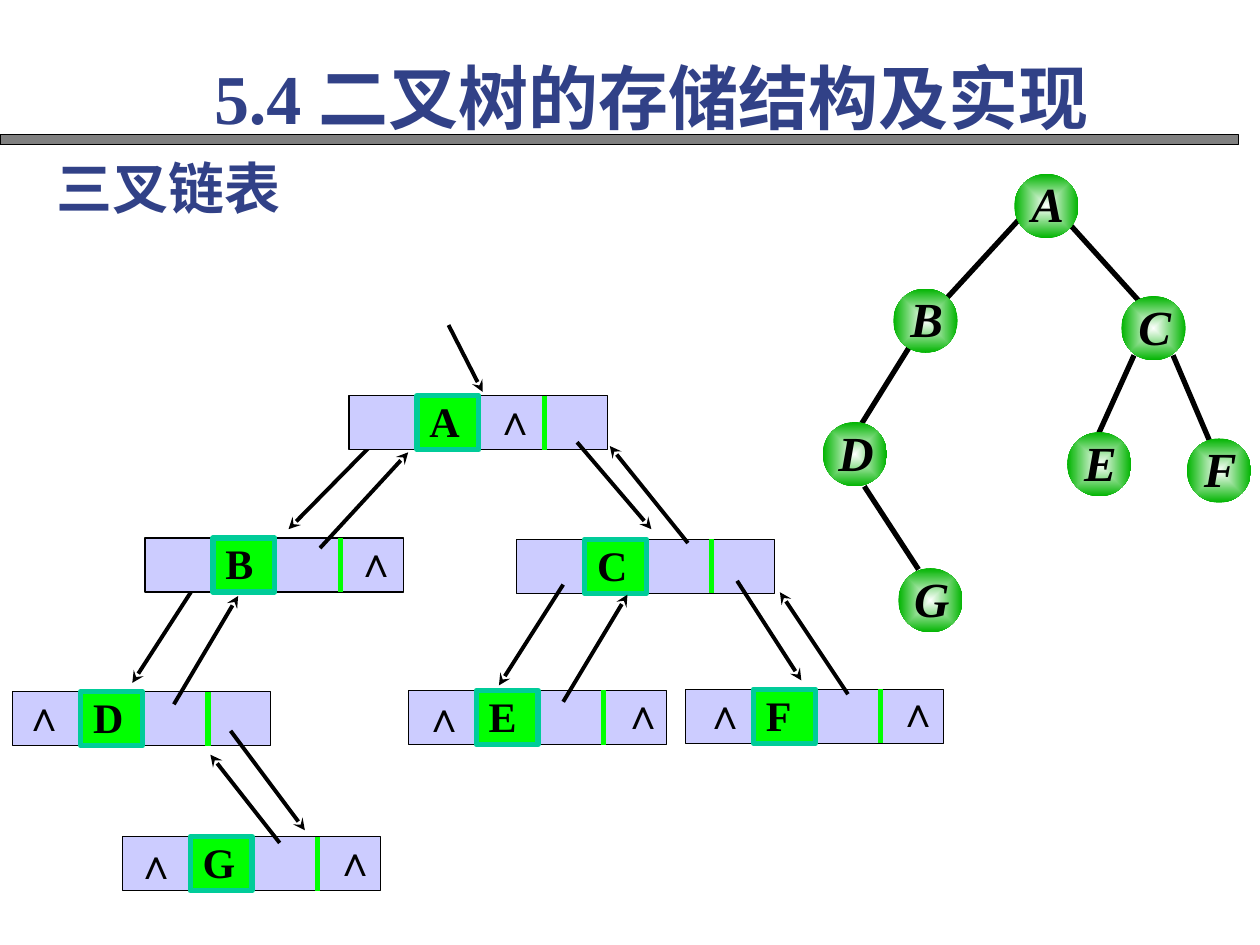
from lxml import etree
from pptx import Presentation
from pptx.dml.color import RGBColor
from pptx.enum.shapes import MSO_CONNECTOR, MSO_SHAPE
from pptx.enum.text import MSO_ANCHOR, MSO_AUTO_SIZE, PP_ALIGN
from pptx.oxml import parse_xml
from pptx.oxml.ns import nsdecls, qn
from pptx.util import Inches, Pt

STRAIGHT = MSO_CONNECTOR.STRAIGHT
RECTANGLE, OVAL = MSO_SHAPE.RECTANGLE, MSO_SHAPE.OVAL
TOP, FIT = MSO_ANCHOR.TOP, MSO_AUTO_SIZE.SHAPE_TO_FIT_TEXT
LEFT, CENTER, JUSTIFY = PP_ALIGN.LEFT, PP_ALIGN.CENTER, PP_ALIGN.JUSTIFY

FONT = "Times New Roman"
BLACK = RGBColor(0, 0, 0)
GRAY = RGBColor(0x80, 0x80, 0x80)
NAVY = RGBColor(0x31, 0x41, 0x87)
LAVENDER = RGBColor(0xCC, 0xCC, 0xFF)
LIME = RGBColor(0x01, 0xFF, 0x01)
TEAL = RGBColor(0x00, 0xCC, 0x99)

NODE_SIZE = 0.51
RECORD_WIDTH, RECORD_HEIGHT = 2.05, 0.43
DATA_LEFT, DATA_WIDTH, DIVIDER = 0.54, 0.49, 1.55

NODES = {"A": (8.05, 1.38), "B": (7.09, 2.29), "C": (8.9, 2.35), "D": (6.53, 3.35),
         "E": (8.47, 3.43), "F": (9.42, 3.48), "G": (7.13, 4.51)}
EDGES = [(8.08, 1.75, 7.52, 2.36), (8.49, 1.78, 9.05, 2.4), (7.22, 2.75, 6.84, 3.36),
         (6.86, 3.86, 7.29, 4.52), (9, 2.82, 8.72, 3.44), (9.31, 2.82, 9.6, 3.5)]

# Record position, then the offset of each null pointer inside the record
RECORDS = {"A": (2.77, 3.14, [(1.07, -0.03)]),
           "B": (1.15, 4.27, [(1.59, -0.03)]),
           "C": (4.1, 4.28, []),
           "D": (0.1, 5.49, [(0, -0.03)]),
           "E": (3.24, 5.48, [(0.04, -0.01), (1.62, -0.03)]),
           "F": (5.44, 5.47, [(0.07, -0.02), (1.6, -0.04)]),
           "G": (0.97, 6.64, [(0.02, 0), (1.6, -0.03)])}
POINTERS_BEHIND = [(1.56, 4.63, 1.05, 5.42), (2.97, 3.51, 2.29, 4.2)]
POINTERS_IN_FRONT = [(3.56, 2.58, 3.83, 3.11), (4.58, 3.51, 5.17, 4.2),
                     (4.47, 4.64, 3.96, 5.44), (5.85, 4.61, 6.36, 5.4),
                     (1.83, 5.8, 2.42, 6.59),
                     (2.54, 4.35, 3.24, 3.59), (5.46, 4.31, 4.84, 3.54),
                     (1.38, 5.59, 1.89, 4.73), (4.47, 5.57, 4.98, 4.72),
                     (6.73, 5.51, 6.19, 4.7), (2.22, 6.69, 1.67, 5.99)]


def write_text(shape, text, size, color, align, insets, italic=False):
    frame = shape.text_frame
    frame.word_wrap = True
    frame.vertical_anchor = TOP
    (frame.margin_left, frame.margin_top,
     frame.margin_right, frame.margin_bottom) = map(Inches, insets)
    frame.text = text
    para = frame.paragraphs[0]
    para.alignment = align
    font = para.runs[0].font
    font.name, font.size, font.bold, font.italic = FONT, Pt(size), True, italic
    font.color.rgb = color


def add_label(page, area, *style, **options):
    box = page.shapes.add_textbox(*map(Inches, area))
    write_text(box, *style, **options)
    return box


def add_heading(page, area, text, size, align):
    box = add_label(page, area, text, size, NAVY, align, (0.1, 0.05, 0.1, 0.05))
    box.text_frame.auto_size = FIT


def add_rectangle(page, area, fill, line, width):
    shape = page.shapes.add_shape(RECTANGLE, *map(Inches, area))
    shape.shadow.inherit = False
    shape.fill.solid()
    shape.fill.fore_color.rgb = fill
    shape.line.color.rgb = line
    shape.line.width = Pt(width)
    return shape


def add_line(page, ends, color, width, arrow=False):
    line = page.shapes.add_connector(STRAIGHT, *map(Inches, ends))
    line.line.color.rgb = color
    line.line.width = Pt(width)
    if arrow:
        etree.SubElement(line.line._get_or_add_ln(), qn("a:tailEnd"), type="stealth")
    etree.SubElement(line._element.spPr, qn("a:effectLst"))


def add_node(page, name, left, top):
    """Tree node: a ball shaded from a white centre to a green rim."""
    ball = page.shapes.add_shape(OVAL, *map(Inches, (left, top, NODE_SIZE, NODE_SIZE)))
    ball.shadow.inherit = False
    ball.line.fill.background()
    ball._element.spPr.find(qn("a:prstGeom")).addnext(parse_xml(
        f'<a:gradFill {nsdecls("a")} rotWithShape="1"><a:gsLst>'
        '<a:gs pos="0"><a:srgbClr val="FFFFFF"/></a:gs>'
        '<a:gs pos="100000"><a:srgbClr val="00B400"/></a:gs></a:gsLst>'
        '<a:path path="rect"><a:fillToRect l="50000" t="50000" r="50000" b="50000"/>'
        '</a:path></a:gradFill>'))
    add_label(page, (left + 0.05, top - 0.04, 0.43, 0.67), name, 28, BLACK, CENTER,
              (0, 0.04, 0, 0), italic=True)


def add_record(page, name, left, top, nulls):
    """List record: left child, data, parent and right child fields."""
    add_rectangle(page, (left, top, RECORD_WIDTH, RECORD_HEIGHT), LAVENDER, BLACK, 0.75)
    data = add_rectangle(page, (left + DATA_LEFT, top, DATA_WIDTH, RECORD_HEIGHT),
                         LIME, TEAL, 3)
    write_text(data, name, 24, BLACK, JUSTIFY, (0.1, 0, 0.02, 0.01))
    x = left + DIVIDER
    add_line(page, (x, top, x, top + RECORD_HEIGHT), LIME, 3)
    for across, down in nulls:
        add_label(page, (left + across, top + down, 0.46, 0.4), "∧", 24, BLACK, CENTER,
                  (0.06, 0.01, 0.02, 0.01))


def add_pointers(page, pointers):
    for ends in pointers:
        add_line(page, ends, BLACK, 2.25, arrow=True)


def main():
    deck = Presentation()
    deck.slide_width, deck.slide_height = Inches(10), Inches(7.5)
    page = deck.slides.add_slide(deck.slide_layouts[6])

    add_rectangle(page, (0, 1.07, 9.83, 0.08), GRAY, BLACK, 0.75)
    for ends in EDGES:
        add_line(page, ends, BLACK, 3)
    for name, place in NODES.items():
        add_node(page, name, *place)

    add_pointers(page, POINTERS_BEHIND)
    for name, record in RECORDS.items():
        add_record(page, name, *record)
    add_pointers(page, POINTERS_IN_FRONT)

    add_heading(page, (0.35, 1.17, 3.67, 0.64), "三叉链表", 32, LEFT)
    add_heading(page, (1.6, 0.38, 7.71, 0.77), "5.4 二叉树的存储结构及实现", 40, JUSTIFY)
    deck.save("out.pptx")


if __name__ == "__main__":
    main()
